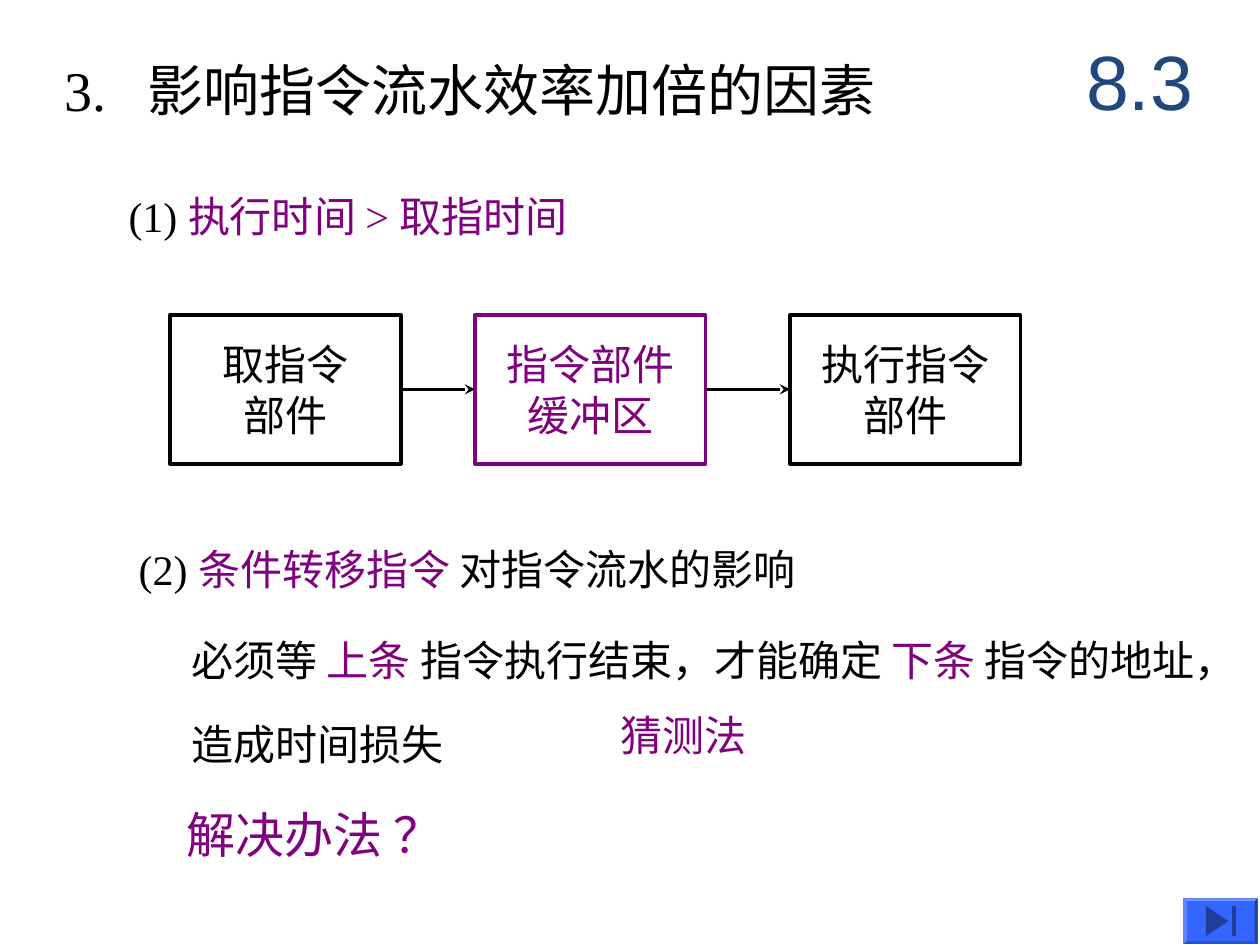
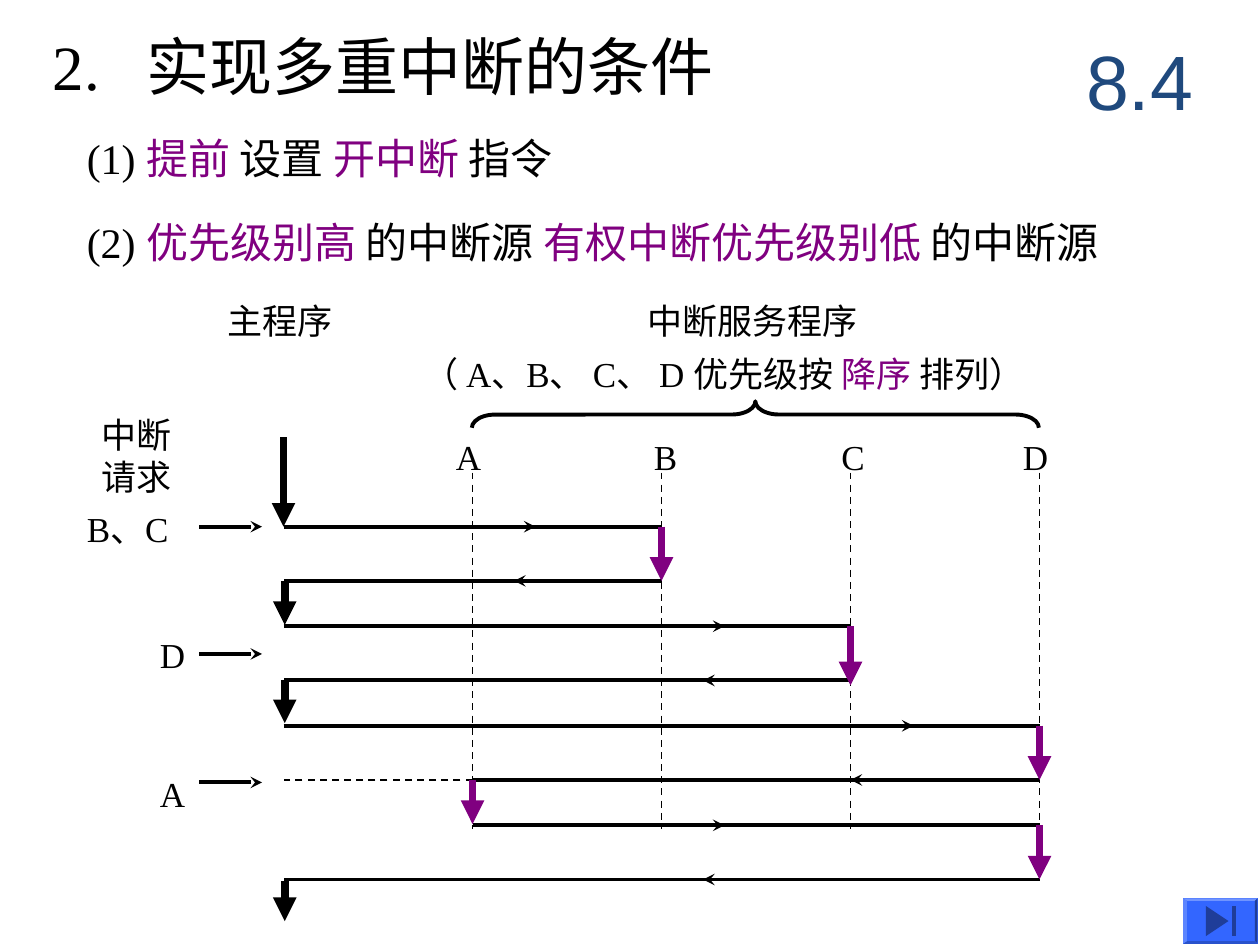
from dataclasses import dataclass

from lxml import etree
from pptx import Presentation
from pptx.dml.color import RGBColor
from pptx.enum.dml import MSO_LINE
from pptx.enum.shapes import MSO_CONNECTOR, MSO_SHAPE
from pptx.enum.text import MSO_ANCHOR, MSO_AUTO_SIZE, PP_ALIGN
from pptx.oxml.ns import qn
from pptx.util import Emu, Pt

STRAIGHT = MSO_CONNECTOR.STRAIGHT
DASH = MSO_LINE.DASH
RECTANGLE = MSO_SHAPE.RECTANGLE
LEFT_BRACE = MSO_SHAPE.LEFT_BRACE
TOP, MIDDLE = MSO_ANCHOR.TOP, MSO_ANCHOR.MIDDLE
LEFT, CENTER = PP_ALIGN.LEFT, PP_ALIGN.CENTER
NO_AUTOFIT = MSO_AUTO_SIZE.NONE

EMU_PER_PX = 9144
TITLE_ONLY = 5
RIGHT_SIDE, LEFT_SIDE = 3, 1

BLACK = "000000"
PURPLE = "800080"
NAVY = "1F497D"
SERIF = "Times New Roman"
SANS = "Arial"

MAIN, A, B, C, D = 225, 375, 525, 675, 825
MAIN_ARROW = MAIN + 1
SWEEP_ARROW = 50


@dataclass(frozen=True)
class Label:
    left: int
    top: int
    width: int
    height: int
    lines: tuple[str, ...]
    size: int = 20
    color: str = BLACK
    font: str = SERIF
    inset_x: int = 10
    inset_y: int = 5
    anchor: MSO_ANCHOR = TOP
    align: PP_ALIGN = LEFT
    spacing: float = 1.0
    tab: int = 0


@dataclass(frozen=True)
class Stage:
    left: int
    lines: tuple[str, ...]
    color: str


@dataclass(frozen=True)
class Sweep:
    y: int
    start: int
    end: int
    tip: int


@dataclass(frozen=True)
class Drop:
    x: int
    top: int
    bottom: int
    color: str


@dataclass(frozen=True)
class Facet:
    color: str
    points: tuple[tuple[int, int], ...]


BUTTON = (
    Facet("3366FF", ((939, 713), (998, 713), (998, 749), (939, 749))),
    Facet("7094FF", ((939, 713), (998, 713), (996, 715), (942, 715))),
    Facet("1F3D99", ((998, 713), (998, 749), (996, 747), (996, 715))),
    Facet("2952CC", ((998, 749), (939, 749), (942, 747), (996, 747))),
    Facet("5C85FF", ((939, 749), (939, 713), (942, 715), (942, 747))),
    Facet("1F3D99", ((975, 731), (957, 743), (957, 719))),
    Facet("1F3D99", ((978, 719), (978, 743), (981, 743), (981, 719))),
)

STAGES = (
    Stage(135, ("取指令", "部件"), BLACK),
    Stage(377, ("指令部件", "缓冲区"), PURPLE),
    Stage(627, ("执行指令", "部件"), BLACK),
)

PIPELINE_LABELS = (
    Label(102, 142, 512, 58, ("(1) |执行时间 > 取指时间",), 24, inset_x=0, anchor=MIDDLE),
    Label(110, 426, 692, 50, ("(2) |条件转移指令 |对指令流水的影响",), 24,
          inset_x=0, anchor=MIDDLE),
    Label(142, 473, 858, 142,
          ("必须等 |上条 |指令执行结束，才能确定 |下条 |指令的地址，", "造成时间损失"),
          24, spacing=1.65),
    Label(483, 558, 433, 50, ("猜测法",), 24, PURPLE),
    Label(148, 633, 662, 58, ("解决办法 ？",), 28, PURPLE, inset_x=0, anchor=MIDDLE),
)

INTERRUPT_LABELS = (
    Label(59, 100, 449, 50, ("(1) |提前 |设置 |开中断 |指令",), 24),
    Label(59, 167, 891, 50, ("(2) |优先级别高 |的中断源 |有权中断优先级别低 |的中断源",), 24),
    Label(171, 233, 103, 44, ("主程序",)),
    Label(504, 233, 187, 44, ("中断服务程序",)),
    Label(326, 275, 552, 44, ("（ A、B、 C、 D 优先级按 |降序 |排列）",)),
    Label(71, 323, 75, 77, ("中断", "请求")),
    Label(352, 341, 40, 44, ("A",)),
    Label(509, 341, 38, 44, ("B",)),
    Label(658, 341, 38, 44, ("C",)),
    Label(802, 341, 40, 44, ("D",)),
    Label(59, 398, 98, 44, ("B、C",)),
    Label(117, 498, 40, 44, ("D",)),
    Label(117, 608, 40, 44, ("A",)),
)

SWEEPS = (
    Sweep(418, MAIN, B, 425),
    Sweep(461, B, MAIN, 408),
    Sweep(497, MAIN, C, 575),
    Sweep(540, C, MAIN, 558),
    Sweep(576, MAIN, D, 725),
    Sweep(619, D, A, 675),
    Sweep(655, A, D, 575),
    Sweep(698, D, MAIN, 558),
)

DROPS = (
    Drop(MAIN, 347, 418, BLACK),
    Drop(B, 418, 461, PURPLE),
    Drop(MAIN_ARROW, 461, 496, BLACK),
    Drop(C, 497, 544, PURPLE),
    Drop(MAIN_ARROW, 540, 574, BLACK),
    Drop(D, 576, 619, PURPLE),
    Drop(A, 619, 654, PURPLE),
    Drop(D, 655, 698, PURPLE),
    Drop(MAIN_ARROW, 699, 731, BLACK),
)

REQUEST_ROWS = (418, 519, 621)


def px(length: float) -> Emu:
    return Emu(round(length * EMU_PER_PX))


def rgb(color: str) -> RGBColor:
    return RGBColor.from_string(color)


def write(box, label: Label) -> None:
    frame = box.text_frame
    frame.word_wrap = False
    frame.auto_size = NO_AUTOFIT
    frame.vertical_anchor = label.anchor
    frame.margin_left = frame.margin_right = px(label.inset_x)
    frame.margin_top = frame.margin_bottom = px(label.inset_y)
    for index, line in enumerate(label.lines):
        para = frame.add_paragraph() if index else frame.paragraphs[0]
        para.alignment = label.align
        if label.spacing != 1.0:
            para.line_spacing = label.spacing
        if label.tab:
            tabs = etree.SubElement(para._p.get_or_add_pPr(), qn("a:tabLst"))
            etree.SubElement(tabs, qn("a:tab"), pos=str(px(label.tab)), algn="l")
        for part, words in enumerate(line.split("|")):
            span = para.add_run()
            span.text = words
            span.font.name = label.font
            span.font.size = Pt(label.size)
            span.font.color.rgb = rgb(PURPLE if part % 2 else label.color)


def add_label(page, label: Label) -> None:
    box = page.shapes.add_textbox(
        px(label.left), px(label.top), px(label.width), px(label.height))
    write(box, label)


def add_line(page, start: tuple[int, int], end: tuple[int, int], color: str = BLACK,
             width: float = 2.25, head: str = "", dashed: bool = False):
    line = page.shapes.add_connector(
        STRAIGHT, px(start[0]), px(start[1]), px(end[0]), px(end[1]))
    line.line.color.rgb = rgb(color)
    line.line.width = Pt(width)
    if dashed:
        line.line.dash_style = DASH
    properties = line.element.spPr
    if head:
        etree.SubElement(properties.find(qn("a:ln")), qn("a:tailEnd"), type=head)
    etree.SubElement(properties, qn("a:effectLst"))
    return line


def add_button(page) -> None:
    for facet in BUTTON:
        first, *others = facet.points
        builder = page.shapes.build_freeform(*first, scale=EMU_PER_PX)
        builder.add_line_segments(others, close=True)
        shape = builder.convert_to_shape()
        shape.shadow.inherit = False
        shape.fill.solid()
        shape.fill.fore_color.rgb = rgb(facet.color)
        shape.line.fill.background()


def add_page(deck, heading: Label, section: str):
    page = deck.slides.add_slide(deck.slide_layouts[TITLE_ONLY])
    title = page.shapes.title
    title.left, title.top = px(heading.left), px(heading.top)
    title.width, title.height = px(heading.width), px(heading.height)
    write(title, heading)
    add_label(page, Label(842, 17, 125, 92, (section,), 44, NAVY, SANS,
                          anchor=MIDDLE, align=CENTER))
    add_button(page)
    return page


def add_stage(page, stage: Stage):
    box = page.shapes.add_shape(RECTANGLE, px(stage.left), px(250), px(183), px(118))
    box.shadow.inherit = False
    box.fill.background()
    box.line.color.rgb = rgb(stage.color)
    box.line.width = Pt(2.25)
    write(box, Label(stage.left, 250, 183, 118, stage.lines, 24, stage.color,
                     inset_x=0, anchor=MIDDLE, align=CENTER))
    return box


def build_pipeline(deck) -> None:
    heading = Label(51, 42, 692, 58, ("3.\t影响指令流水效率加倍的因素",), 32,
                    inset_x=0, anchor=MIDDLE, tab=66)
    page = add_page(deck, heading, "8.3")
    for label in PIPELINE_LABELS:
        add_label(page, label)
    boxes = [add_stage(page, stage) for stage in STAGES]
    for source, target in zip(boxes, boxes[1:]):
        arrow = add_line(page, (0, 0), (1, 1), width=1.5, head="stealth")
        arrow.begin_connect(source, RIGHT_SIDE)
        arrow.end_connect(target, LEFT_SIDE)


def add_brace(page) -> None:
    brace = page.shapes.add_shape(LEFT_BRACE, px(589), px(104), px(21), px(450))
    brace.rotation = 90
    brace.adjustments[0] = 0.89
    brace.shadow.inherit = False
    brace.fill.background()
    brace.line.color.rgb = rgb(BLACK)
    brace.line.width = Pt(2.25)


def build_interrupts(deck) -> None:
    heading = Label(42, 28, 590, 47, ("2.\t实现多重中断的条件",), 36,
                    inset_x=0, inset_y=0, anchor=MIDDLE, tab=74)
    page = add_page(deck, heading, "8.4")
    for label in INTERRUPT_LABELS:
        add_label(page, label)
    add_brace(page)
    for column in (A, B, C, D):
        add_line(page, (column, 375), (column, 658), width=1, dashed=True)
    add_line(page, (A, 619), (MAIN, 619), width=1, dashed=True)
    for y in REQUEST_ROWS:
        add_line(page, (158, y), (208, y), head="stealth")
    for sweep in SWEEPS:
        tail = sweep.tip - SWEEP_ARROW if sweep.end > sweep.start else sweep.tip + SWEEP_ARROW
        add_line(page, (sweep.start, sweep.y), (sweep.end, sweep.y))
        add_line(page, (tail, sweep.y), (sweep.tip, sweep.y), head="stealth")
    for drop in DROPS:
        add_line(page, (drop.x, drop.top), (drop.x, drop.bottom), drop.color, 4.5, "triangle")


def main() -> None:
    deck = Presentation()
    deck.slide_width, deck.slide_height = px(1000), px(750)
    build_pipeline(deck)
    build_interrupts(deck)
    deck.save("out.pptx")


if __name__ == "__main__":
    main()
